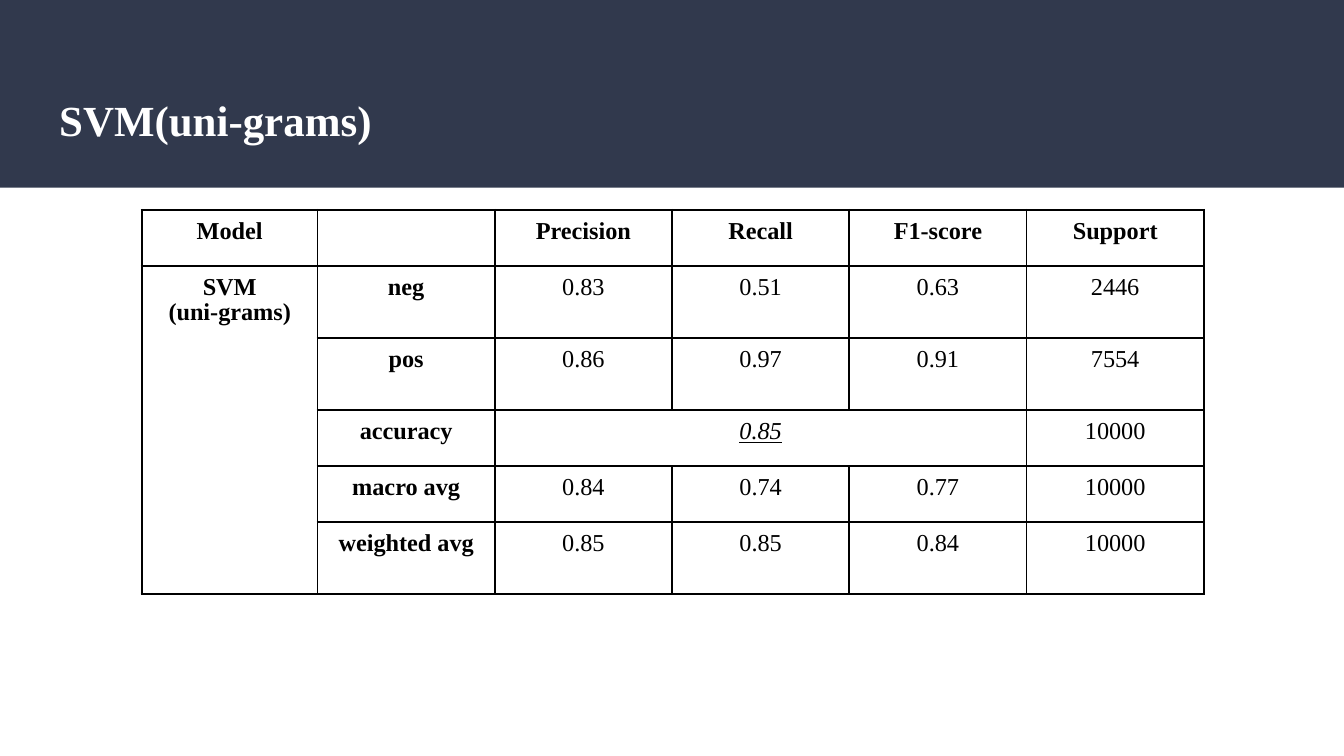
from lxml import etree
from pptx import Presentation
from pptx import util as u
from pptx.dml.color import RGBColor
from pptx.enum import shapes, text
from pptx.oxml import ns

COLORS = {"band": "31394D", "title": "FFFFFF", "ink": "000000"}
FONT = "Times New Roman"


def add_span(para, words, size, color, bold=False):
    span = para.add_run()
    span.text = words
    span.font.name = FONT
    span.font.size = u.Pt(size)
    span.font.bold = bold
    span.font.color.rgb = RGBColor.from_string(COLORS[color])
    return span


def add_borders(cell, widths):
    props = cell._tc.get_or_add_tcPr()
    for index, (side, points) in enumerate(widths.items()):
        line = etree.Element(ns.qn(f"a:ln{side}"), w=str(u.Pt(points)))
        fill = etree.SubElement(line, ns.qn("a:solidFill"))
        etree.SubElement(fill, ns.qn("a:srgbClr"), val=COLORS["ink"])
        props.insert(index, line)


deck = Presentation()
deck.slide_width, deck.slide_height = u.Cm(25.4), u.Cm(14.29)
page = deck.slides.add_slide(deck.slide_layouts[6])

band = page.shapes.add_shape(
    shapes.MSO_SHAPE.RECTANGLE, 0, 0, deck.slide_width, u.Cm(3.55))
band.shadow.inherit = False
band.fill.solid()
band.fill.fore_color.rgb = RGBColor.from_string(COLORS["band"])
band.line.fill.background()

box = page.shapes.add_textbox(u.Cm(0.87), u.Cm(1.4), u.Cm(23.67), u.Cm(1.73))
frame = box.text_frame
frame.word_wrap = True
frame.vertical_anchor = text.MSO_ANCHOR.MIDDLE
frame.margin_left = frame.margin_right = u.Cm(0.25)
frame.margin_top = frame.margin_bottom = u.Cm(0.25)
add_span(frame.paragraphs[0], "SVM(uni-grams)", 23, "title", bold=True)

rows = [
    ["Model", "", "Precision", "Recall", "F1-score", "Support"],
    ["SVM\n(uni-grams)", "neg", "0.83", "0.51", "0.63", "2446"],
    ["", "pos", "0.86", "0.97", "0.91", "7554"],
    ["", "accuracy", "0.85", "", "", "10000"],
    ["", "macro avg", "0.84", "0.74", "0.77", "10000"],
    ["", "weighted avg", "0.85", "0.85", "0.84", "10000"],
]
heights = [1.06, 1.36, 1.36, 1.06, 1.06, 1.36]
widths = [3.32] + [3.35] * 5
last_row, last_column = len(rows) - 1, len(widths) - 1

table = page.shapes.add_table(
    len(rows), len(widths), u.Cm(2.68), u.Cm(3.97),
    u.Cm(sum(widths)), u.Cm(sum(heights))).table
table.first_row = table.horz_banding = False
for column, width in zip(table.columns, widths):
    column.width = u.Cm(width)

for r, values in enumerate(rows):
    table.rows[r].height = u.Cm(heights[r])
    for c, value in enumerate(values):
        cell = table.cell(r, c)
        cell.margin_left = cell.margin_right = u.Cm(0.18)
        cell.margin_top = cell.margin_bottom = u.Cm(0.18)
        cell.fill.background()
        add_borders(cell, {
            "L": 1.5 if c == 0 else 1,
            "R": 1.5 if c == last_column else 1,
            "T": 1.5 if r <= 1 else 1,
            "B": 1.5 if r in (0, last_row) else 1,
        })
        for i, words in enumerate(value.split("\n")):
            para = cell.text_frame.paragraphs[0] if i == 0 else cell.text_frame.add_paragraph()
            para.alignment = text.PP_ALIGN.CENTER
            para.line_spacing = 0.93
            para.font.size = u.Pt(13)
            if words:
                span = add_span(para, words, 13, "ink", bold=r == 0 or c <= 1)
                if (r, c) == (3, 2):
                    span.font.italic = span.font.underline = True

table.cell(1, 0).merge(table.cell(last_row, 0))
table.cell(3, 2).merge(table.cell(3, 4))

deck.save("out.pptx")
